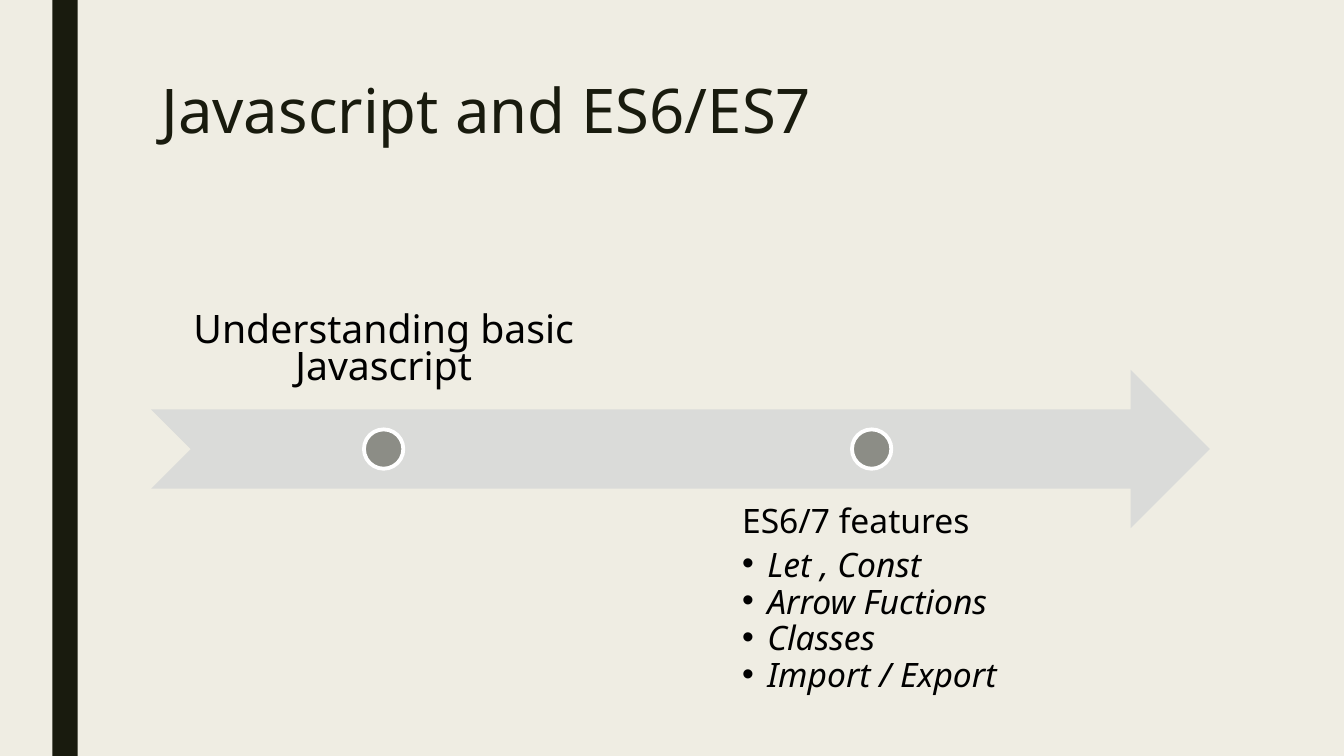
from lxml.etree import SubElement
from pptx import Presentation
from pptx.dml.color import RGBColor
from pptx.enum.shapes import MSO_SHAPE
from pptx.enum.text import MSO_ANCHOR, MSO_AUTO_SIZE, PP_ALIGN
from pptx.oxml.ns import qn
from pptx.util import Inches, Pt

PAPER = RGBColor(0xEF, 0xED, 0xE3)
INK = RGBColor(0x19, 0x1B, 0x0E)
BLACK = RGBColor(0, 0, 0)
WHITE = RGBColor(0xFF, 0xFF, 0xFF)
SILVER = RGBColor(0xDA, 0xDB, 0xD9)
GRAY = RGBColor(0x8C, 0x8D, 0x86)


class Deck:
    font = "Noto Sans"

    def __init__(self, slide):
        self.slide = slide
        fill = slide.background.fill
        fill.solid()
        fill.fore_color.rgb = PAPER

    def shape(self, kind, box, color, edge=None):
        item = self.slide.shapes.add_shape(kind, *map(Inches, box))
        item.shadow.inherit = False
        item.fill.solid()
        item.fill.fore_color.rgb = color
        if edge is None:
            item.line.fill.background()
        else:
            item.line.color.rgb = edge
            item.line.width = Pt(2.75)

    def frame(self, item, box, pad, anchor=MSO_ANCHOR.TOP):
        item.left, item.top, item.width, item.height = map(Inches, box)
        text = item.text_frame
        text.word_wrap = True
        text.auto_size = MSO_AUTO_SIZE.NONE
        text.vertical_anchor = anchor
        text.margin_left = text.margin_right = Inches(pad[0])
        text.margin_top = text.margin_bottom = Inches(pad[1])
        return text

    def line(self, para, words, size, color=BLACK, align=PP_ALIGN.LEFT,
             pitch=0.79, after=0, italic=False):
        para.alignment = align
        para.line_spacing = pitch
        para.space_before = Pt(0)
        para.space_after = Pt(after)
        run = para.add_run()
        run.text = words
        run.font.name = self.font
        run.font.size = Pt(size)
        run.font.italic = italic
        run.font.color.rgb = color

    def bullet(self, para, mark=None, hang=0):
        props = para._p.get_or_add_pPr()
        props.set("marL", str(Inches(hang)))
        props.set("indent", str(-Inches(hang)))
        if mark:
            SubElement(props, qn("a:buFont"), typeface="Arial")
            SubElement(props, qn("a:buChar"), char=mark)
        else:
            SubElement(props, qn("a:buNone"))

    def title(self, words, box):
        text = self.frame(self.slide.shapes.title, box, (0.1, 0.05))
        self.line(text.paragraphs[0], words, 44, INK, pitch=0.89)

    def label(self, words, box):
        item = self.slide.shapes.add_textbox(*map(Inches, box))
        text = self.frame(item, box, (0.22, 0.22), MSO_ANCHOR.BOTTOM)
        self.line(text.paragraphs[0], words, 28, align=PP_ALIGN.CENTER)

    def list(self, head, points, box):
        text = self.frame(self.slide.placeholders[1], box, (0.19, 0.19))
        first = text.paragraphs[0]
        self.line(first, head, 24, after=8.4)
        self.bullet(first)
        for point in points:
            para = text.add_paragraph()
            para.level = 1
            self.line(para, point, 24, after=3.6, italic=True)
            self.bullet(para, "•", 0.25)


prs = Presentation()
prs.slide_width, prs.slide_height = Inches(13.33), Inches(7.5)
deck = Deck(prs.slides.add_slide(prs.slide_layouts[1]))

# Side bar and title
deck.shape(MSO_SHAPE.RECTANGLE, (0.52, 0, 0.25, 7.5), INK)
deck.title("Javascript and ES6/ES7", (1.5, 0.75, 10.5, 1.62))

# Timeline arrow with a dot at the middle of each step
STEP, DOT = 4.61, 0.39
LEFTS = (1.5, 6.34)
deck.shape(MSO_SHAPE.NOTCHED_RIGHT_ARROW, (1.5, 3.67, 10.5, 1.57), SILVER)
for left in LEFTS:
    deck.shape(MSO_SHAPE.OVAL, (left + (STEP - DOT) / 2, 4.26, DOT, DOT),
               GRAY, WHITE)

# Step texts above and below the arrow
deck.label("Understanding basic Javascript", (LEFTS[0], 2.5, STEP, 1.57))
deck.list("ES6/7 features",
          ("Let , Const", "Arrow Fuctions", "Classes", "Import / Export"),
          (LEFTS[1] + 0.83, 4.85, STEP, 1.57))

prs.save("out.pptx")
